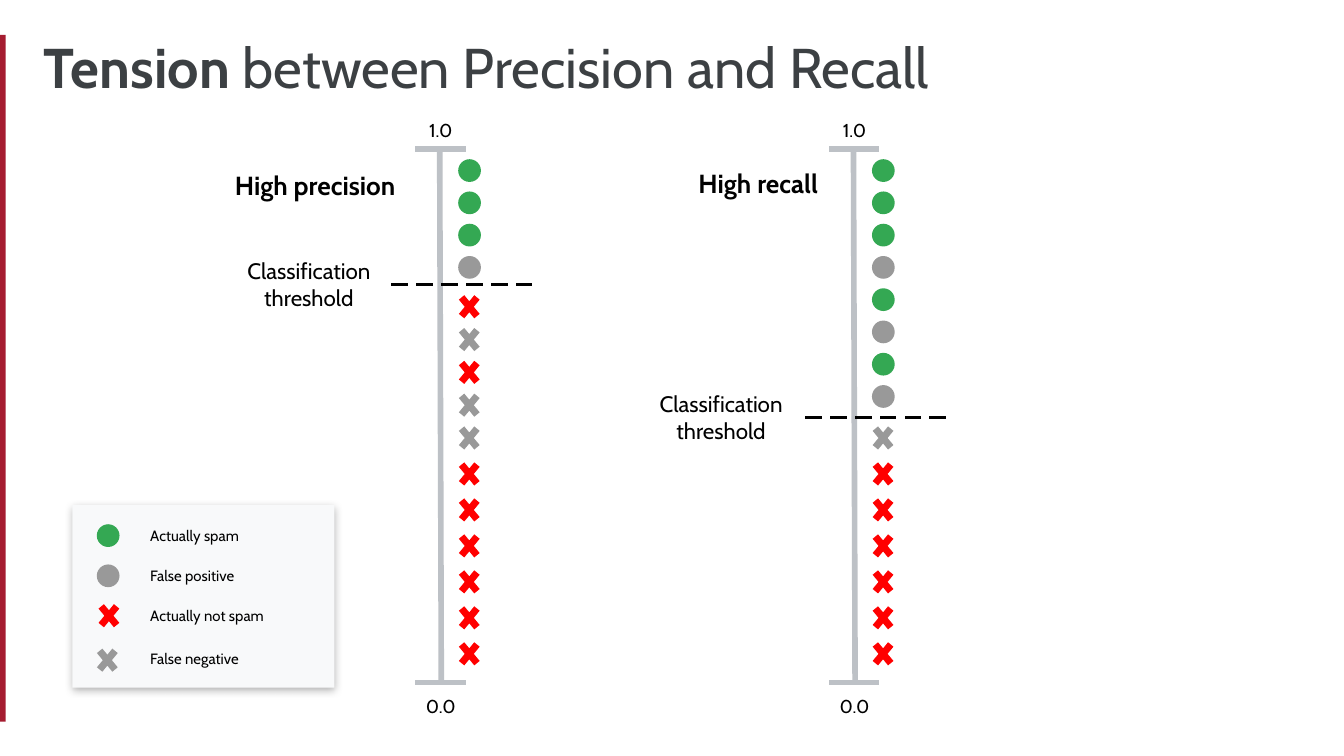
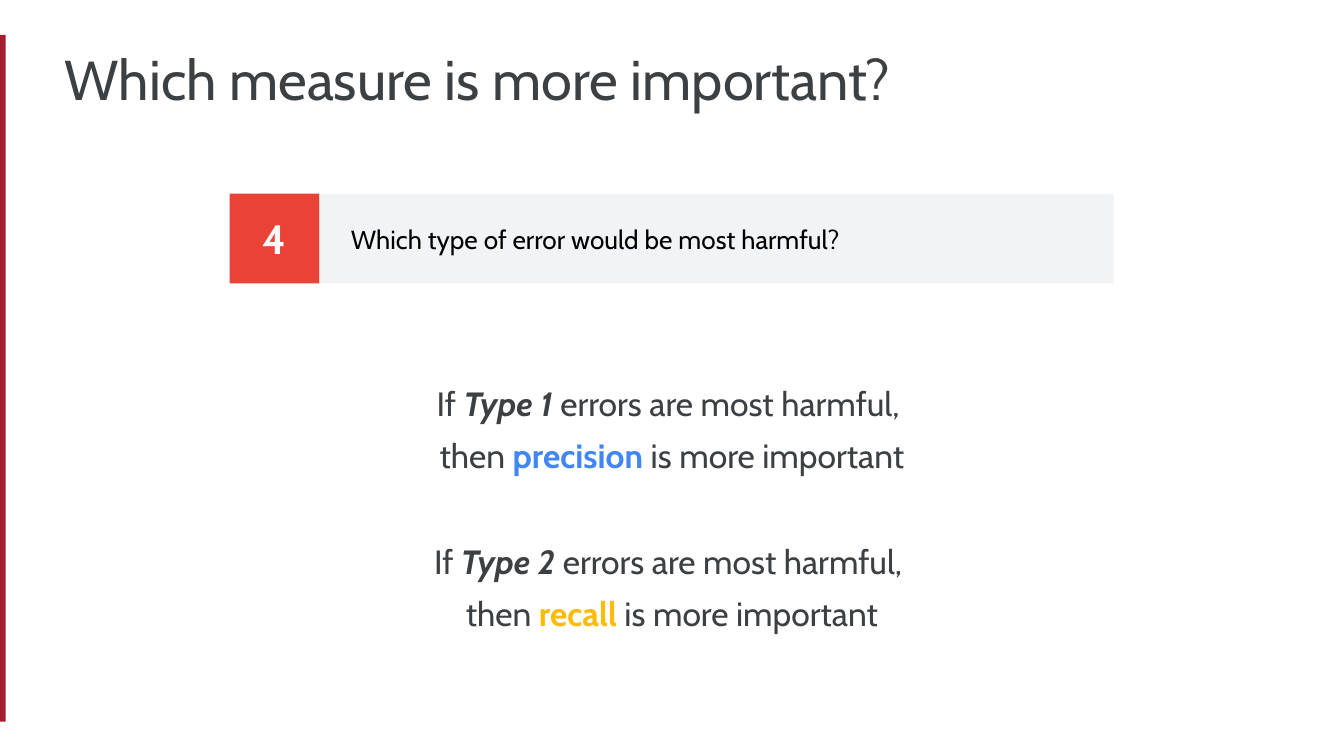
from lxml import etree
from pptx import Presentation
from pptx.dml.color import RGBColor
from pptx.enum.shapes import MSO_CONNECTOR, MSO_SHAPE
from pptx.enum.text import MSO_ANCHOR, PP_ALIGN
from pptx.oxml.ns import qn
from pptx.util import Cm, Pt

RECT = MSO_SHAPE.RECTANGLE
CIRCLE = MSO_SHAPE.FLOWCHART_CONNECTOR
CROSS = MSO_SHAPE.MATH_MULTIPLY
DASH = MSO_SHAPE.MATH_MINUS
STRAIGHT = MSO_CONNECTOR.STRAIGHT
LEFT, CENTER = PP_ALIGN.LEFT, PP_ALIGN.CENTER
TOP, MIDDLE = MSO_ANCHOR.TOP, MSO_ANCHOR.MIDDLE

FONT = "Cabin"
CRIMSON, INK, BLACK = "A51C30", "3C4043", "000000"
AXIS, PANEL, BAR = "BDC1C6", "F8F9FA", "F1F3F4"
GREEN, GREY, RED = "34A853", "999999", "FF0000"
TOMATO, BLUE, YELLOW = "EA4335", "4285F4", "FBBC05"

MARK_COLORS = {"s": GREEN, "p": GREY, "n": RED, "f": GREY}


def rgb(value):
    return RGBColor.from_string(value)


def add_shape(slide, kind, x, y, w, h, color):
    sp = slide.shapes.add_shape(kind, Cm(x), Cm(y), Cm(w), Cm(h))
    sp.fill.solid()
    sp.fill.fore_color.rgb = rgb(color)
    sp.line.fill.background()
    sp.shadow.inherit = False
    return sp


def add_soft_shadow(sp):
    effects = sp._element.spPr.find(qn("a:effectLst"))
    shadow = etree.SubElement(
        effects, qn("a:outerShdw"), blurRad=str(Pt(4.5)), dist=str(Pt(1.5)),
        dir="5400000", algn="bl", rotWithShape="0")
    color = etree.SubElement(shadow, qn("a:srgbClr"), val=BLACK)
    etree.SubElement(color, qn("a:alpha"), val="30000")


def add_line(slide, x1, y1, x2, y2):
    line = slide.shapes.add_connector(STRAIGHT, Cm(x1), Cm(y1), Cm(x2), Cm(y2))
    line.line.color.rgb = rgb(AXIS)
    line.line.width = Pt(3)
    etree.SubElement(line._element.spPr, qn("a:effectLst"))


def write(sp, paragraphs, size, color=BLACK, align=LEFT, anchor=TOP,
          spacing=None, gaps=(), indent=0.25):
    """Fill sp; a run is (text, style letters "b"/"i", optional colour)."""
    tf = sp.text_frame
    tf.word_wrap = True
    tf.vertical_anchor = anchor
    tf.margin_left = Cm(indent)
    tf.margin_top = tf.margin_right = tf.margin_bottom = Cm(0.25)
    for i, runs in enumerate(paragraphs):
        p = tf.add_paragraph() if i else tf.paragraphs[0]
        p.alignment = align
        if spacing:
            p.line_spacing = spacing
        if gaps:
            p.space_before = Pt(gaps[i])
        for text, style, *own_color in runs:
            r = p.add_run()
            r.text = text
            r.font.name = FONT
            r.font.size = Pt(size)
            r.font.bold = "b" in style
            r.font.italic = "i" in style
            r.font.color.rgb = rgb(own_color[0] if own_color else color)


def add_text(slide, x, y, w, h, paragraphs, size, **options):
    box = slide.shapes.add_textbox(Cm(x), Cm(y), Cm(w), Cm(h))
    write(box, paragraphs, size, **options)


def add_slide(prs, title, x, y):
    """Add a slide with the crimson edge band and a title at x, y."""
    slide = prs.slides.add_slide(prs.slide_layouts[6])
    add_shape(slide, RECT, -0.04, 0.66, 0.15, 12.98, CRIMSON)
    add_text(slide, x, y, 21.67, 1.5, [title], 30, color=INK, spacing=0.9)
    return slide


def add_circle(slide, x, y, color):
    add_shape(slide, CIRCLE, x, y, 0.43, 0.43, color)


def add_cross(slide, x, y, color):
    add_shape(slide, CROSS, x, y, 0.56, 0.68, color)


def add_scale(slide, x, circles, crosses, threshold):
    """Draw a 0-1 scale; circles run down from 1.0, crosses up from 0.0."""
    add_line(slide, x + 0.46, 2.87, x + 0.49, 12.9)
    for y, label_y, label in ((2.82, 2.03, "1.0"), (12.9, 12.92, "0.0")):
        add_line(slide, x, y, x + 0.95, y)
        add_text(slide, x - 0.09, label_y, 1.14, 0.84, [[(label, "")]], 10,
                 align=CENTER)
    for i, mark in enumerate(circles):
        add_circle(slide, x + 0.81, 3.01 + 0.61 * i, MARK_COLORS[mark])
    for i, mark in enumerate(crosses):
        y = 12.02 - 0.68 * min(i, 6) - 0.62 * max(i - 6, 0)
        add_cross(slide, x + 0.74, y, MARK_COLORS[mark])
    for i in range(6):
        add_shape(slide, DASH, x - 0.51 + 0.47 * i, threshold, 0.43, 0.25, BLACK)


def add_legend(slide):
    add_soft_shadow(add_shape(slide, RECT, 1.37, 9.55, 4.95, 3.45, PANEL))
    add_circle(slide, 1.83, 9.91, GREEN)
    add_circle(slide, 1.83, 10.67, GREY)
    add_cross(slide, 1.78, 11.3, RED)
    add_cross(slide, 1.75, 12.14, GREY)
    names = ("Actually spam", "False positive", "Actually not spam",
             "False negative")
    add_text(slide, 2.59, 9.7, 3.56, 3.12, [[(name, "")] for name in names], 8,
             gaps=(0, 12, 12, 13.4))


def build_tension(prs):
    title = [("Tension", "b"), (" between Precision and Recall", "")]
    slide = add_slide(prs, title, 0.58, 0.51)
    add_scale(slide, 7.85, "sssp", "nnnnnnffnfn", 5.26)
    add_scale(slide, 15.67, "ssspspsp", "nnnnnnf", 7.77)
    for x, y, w, name in ((4.19, 2.95, 4.14, "High precision"),
                          (12.95, 2.92, 4.29, "High recall")):
        add_text(slide, x, y, w, 0.99, [[(name, "b")]], 14)
    for x, y, w in ((4.06, 4.88, 3.56), (11.99, 7.39, 3.28)):
        add_text(slide, x, y, w, 0.99, [[("Classification threshold", "")]], 12,
                 align=CENTER, anchor=MIDDLE)
    add_legend(slide)


def build_measure(prs):
    title = [("Which measure is more important?", "")]
    slide = add_slide(prs, title, 0.97, 0.74)
    number = add_shape(slide, RECT, 4.34, 3.66, 1.7, 1.7, TOMATO)
    write(number, [[("4", "b")]], 22, color=PANEL, align=CENTER, anchor=MIDDLE)
    question = add_shape(slide, RECT, 6.04, 3.66, 15.01, 1.7, BAR)
    write(question, [[("Which type of error would be most harmful?", "")]], 14,
          anchor=MIDDLE, indent=0.59)

    advice = []
    for error, measure, color in (("Type 1", "precision", BLUE),
                                  ("Type 2", "recall", YELLOW)):
        advice.append([("If ", ""), (error, "bi"),
                       (" errors are most harmful, ", "")])
        advice.append([("then ", ""), (measure, "b", color),
                       (" is more important", "")])
    add_text(slide, 6.91, 6.76, 11.58, 5.13, advice, 18, color=INK,
             align=CENTER, spacing=1.3, gaps=(0, 0, 28.4, 0))


def main():
    prs = Presentation()
    prs.slide_width, prs.slide_height = Cm(25.4), Cm(14.29)
    build_tension(prs)
    build_measure(prs)
    prs.save("out.pptx")


if __name__ == "__main__":
    main()
